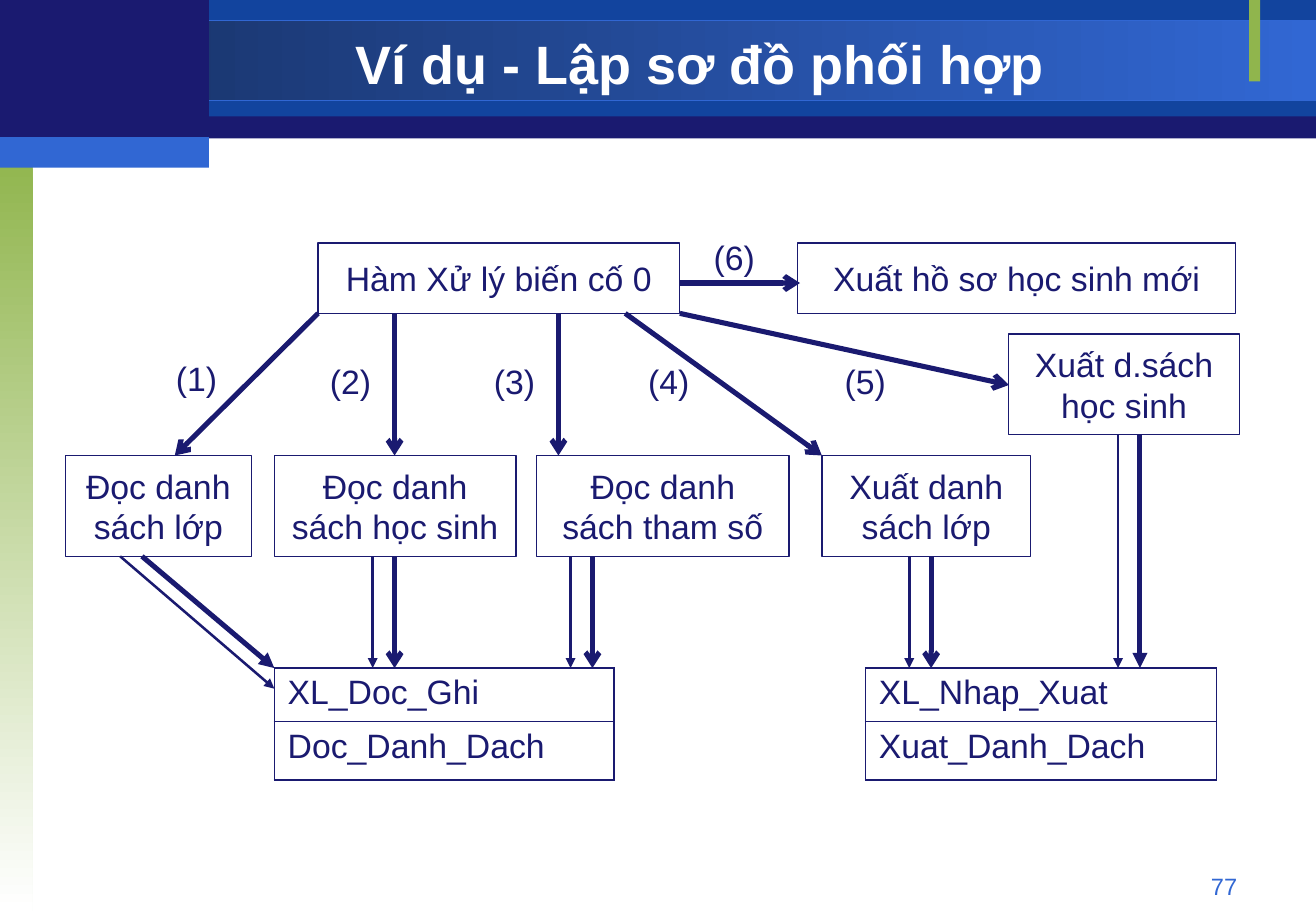
"""Build the slide that shows a function coordination diagram."""
from lxml import etree
from pptx import Presentation
from pptx import util as u
from pptx.dml.color import RGBColor
from pptx.enum import shapes, text
from pptx.oxml import ns

COLORS = {
    "navy": "1A1A70", "blue": "12449E", "bright": "3167D3", "dark": "173062",
    "green": "90B54D", "white": "FFFFFF",
}


class Diagram:
    """Hold the style and the current slide."""

    font_name = "Arial"
    font_size = 20
    thick, thin = 3, 1.5

    def __init__(self, slide):
        self.slide = slide

    def color(self, name):
        return RGBColor.from_string(COLORS[name])

    def set_text(self, frame, lines, align, color="navy", size=font_size, bold=False):
        frame.text = "\n".join(lines)
        for paragraph in frame.paragraphs:
            paragraph.alignment = align
            font = paragraph.font
            font.name, font.size, font.bold = self.font_name, u.Pt(size), bold
            font.color.rgb = self.color(color)

    def rectangle(self, bounds, fill=None, line=None, angle=0):
        shape = self.slide.shapes.add_shape(
            shapes.MSO_SHAPE.RECTANGLE, *map(u.Inches, bounds))
        shape.shadow.inherit = False
        if fill is None:
            shape.fill.background()
        elif isinstance(fill, tuple):
            shape.fill.gradient()
            shape.fill.gradient_angle = angle
            for stop, name in zip(shape.fill.gradient_stops, fill):
                stop.color.rgb = self.color(name)
        else:
            shape.fill.solid()
            shape.fill.fore_color.rgb = self.color(fill)
        if line:
            shape.line.color.rgb = self.color(line)
            shape.line.width = u.Pt(0.75)
        else:
            shape.line.fill.background()
        return shape

    def box(self, bounds, *lines):
        frame = self.rectangle(bounds, line="navy").text_frame
        frame.word_wrap = False
        frame.vertical_anchor = text.MSO_ANCHOR.MIDDLE
        self.set_text(frame, lines, text.PP_ALIGN.CENTER)

    def label(self, bounds, words, align=text.PP_ALIGN.LEFT,
              anchor=text.MSO_ANCHOR.TOP, **style):
        frame = self.slide.shapes.add_textbox(*map(u.Inches, bounds)).text_frame
        frame.word_wrap = True
        frame.vertical_anchor = anchor
        self.set_text(frame, [words], align, **style)

    def arrow(self, start, end, width=thick, head="arrow"):
        connector = self.slide.shapes.add_connector(
            shapes.MSO_CONNECTOR.STRAIGHT, *map(u.Inches, (*start, *end)))
        connector.line.color.rgb = self.color("navy")
        connector.line.width = u.Pt(width)
        properties = connector._element.spPr
        etree.SubElement(properties.find(ns.qn("a:ln")), ns.qn("a:tailEnd"), type=head)
        etree.SubElement(properties, ns.qn("a:effectLst"))

    def border(self, cell, widths):
        for position, (side, width) in enumerate(widths.items()):
            line = etree.Element(ns.qn(f"a:ln{side}"), w=str(u.Pt(width)))
            fill = etree.SubElement(line, ns.qn("a:solidFill"))
            etree.SubElement(fill, ns.qn("a:srgbClr"), val=COLORS["navy"])
            cell._tc.get_or_add_tcPr().insert(position, line)

    def table(self, left, top, width, names):
        heights = (0.44, 0.48)
        table = self.slide.shapes.add_table(
            len(names), 1, *map(u.Inches, (left, top, width, sum(heights)))).table
        table.first_row = table.horz_banding = False
        outer, inner = 1.08, 0.45
        for index, (name, height) in enumerate(zip(names, heights)):
            table.rows[index].height = u.Inches(height)
            cell = table.cell(index, 0)
            cell.margin_left = cell.margin_right = u.Inches(0.11)
            cell.fill.background()
            self.set_text(cell.text_frame, [name], text.PP_ALIGN.LEFT)
            self.border(cell, {
                "L": outer, "R": outer,
                "T": outer if index == 0 else inner,
                "B": outer if index == len(names) - 1 else inner})


def draw_frame(diagram):
    diagram.rectangle((0, 0.01, 10.84, 1.13), "navy")
    diagram.rectangle((1.72, 0, 9.12, 0.96), "blue")
    diagram.rectangle((0, 0.17, 10.84, 0.66), ("dark", "bright"), "bright")
    diagram.rectangle((0, 1.25, 0.27, 6.25), ("green", "white"), angle=270)
    diagram.rectangle((10.29, 0, 0.09, 0.67), "green")
    diagram.rectangle((0, 0, 1.72, 1.17), "navy")
    diagram.rectangle((0, 1.13, 1.72, 0.25), "bright")
    diagram.label((7.76, 7.13, 2.53, 0.27), "77", text.PP_ALIGN.RIGHT,
                  color="bright", size=14)
    diagram.label((1.71, 0.23, 8.12, 0.58), "Ví dụ - Lập sơ đồ phối hợp",
                  text.PP_ALIGN.CENTER, text.MSO_ANCHOR.MIDDLE,
                  color="white", size=32, bold=True)


def draw_functions(diagram, caller_bottom, step_top, step_bottom):
    caller_height, step_height = 0.58, step_bottom - step_top
    caller_top = caller_bottom - caller_height
    diagram.box((2.62, caller_top, 2.98, caller_height), "Hàm Xử lý biến cố 0")
    diagram.box((6.57, caller_top, 3.61, caller_height), "Xuất hồ sơ học sinh mới")
    diagram.box((8.31, 2.75, 1.9, step_height), "Xuất d.sách", "học sinh")
    for left, width, *lines in (
            (0.54, 1.53, "Đọc danh", "sách lớp"),
            (2.26, 1.99, "Đọc danh", "sách học sinh"),
            (4.42, 2.08, "Đọc danh", "sách tham số"),
            (6.77, 1.72, "Xuất danh", "sách lớp")):
        diagram.box((left, step_top, width, step_height), *lines)


def draw_calls(diagram, caller_bottom, step_top):
    for start, end in ((2.62, 1.44), (3.25, 3.25), (4.6, 4.6), (5.15, 6.77)):
        diagram.arrow((start, caller_bottom), (end, step_top))
    diagram.arrow((5.6, caller_bottom), (8.31, 3.17))
    diagram.arrow((5.6, 2.33), (6.59, 2.33))
    places = ((1.35, 2.9), (2.62, 2.92), (3.97, 2.92),
              (5.24, 2.92), (6.86, 2.92), (5.78, 1.9))
    for number, place in enumerate(places, 1):
        diagram.label((*place, 0.63, 0.44), f"({number})")


def draw_modules(diagram, step_bottom, module_top):
    diagram.table(2.26, module_top, 2.8, ("XL_Doc_Ghi", "Doc_Danh_Dach"))
    diagram.table(7.13, module_top, 2.89, ("XL_Nhap_Xuat", "Xuat_Danh_Dach"))
    gap = 0.18
    for x, top, head in ((3.25, step_bottom, "arrow"), (4.88, step_bottom, "arrow"),
                         (7.67, step_bottom, "arrow"), (9.39, 3.58, "triangle")):
        diagram.arrow((x, top), (x, module_top), head=head)
        diagram.arrow((x - gap, top), (x - gap, module_top), diagram.thin, "triangle")
    diagram.arrow((1.17, step_bottom), (2.26, module_top), head="triangle")
    diagram.arrow((1.17 - gap, step_bottom), (2.26, 5.67), diagram.thin, "triangle")


def main():
    presentation = Presentation()
    presentation.slide_width, presentation.slide_height = u.Inches(10.84), u.Inches(7.5)
    diagram = Diagram(presentation.slides.add_slide(presentation.slide_layouts[6]))
    caller_bottom, step_top, step_bottom, module_top = 2.58, 3.75, 4.58, 5.5
    draw_frame(diagram)
    draw_functions(diagram, caller_bottom, step_top, step_bottom)
    draw_calls(diagram, caller_bottom, step_top)
    draw_modules(diagram, step_bottom, module_top)
    presentation.save("out.pptx")


if __name__ == "__main__":
    main()
